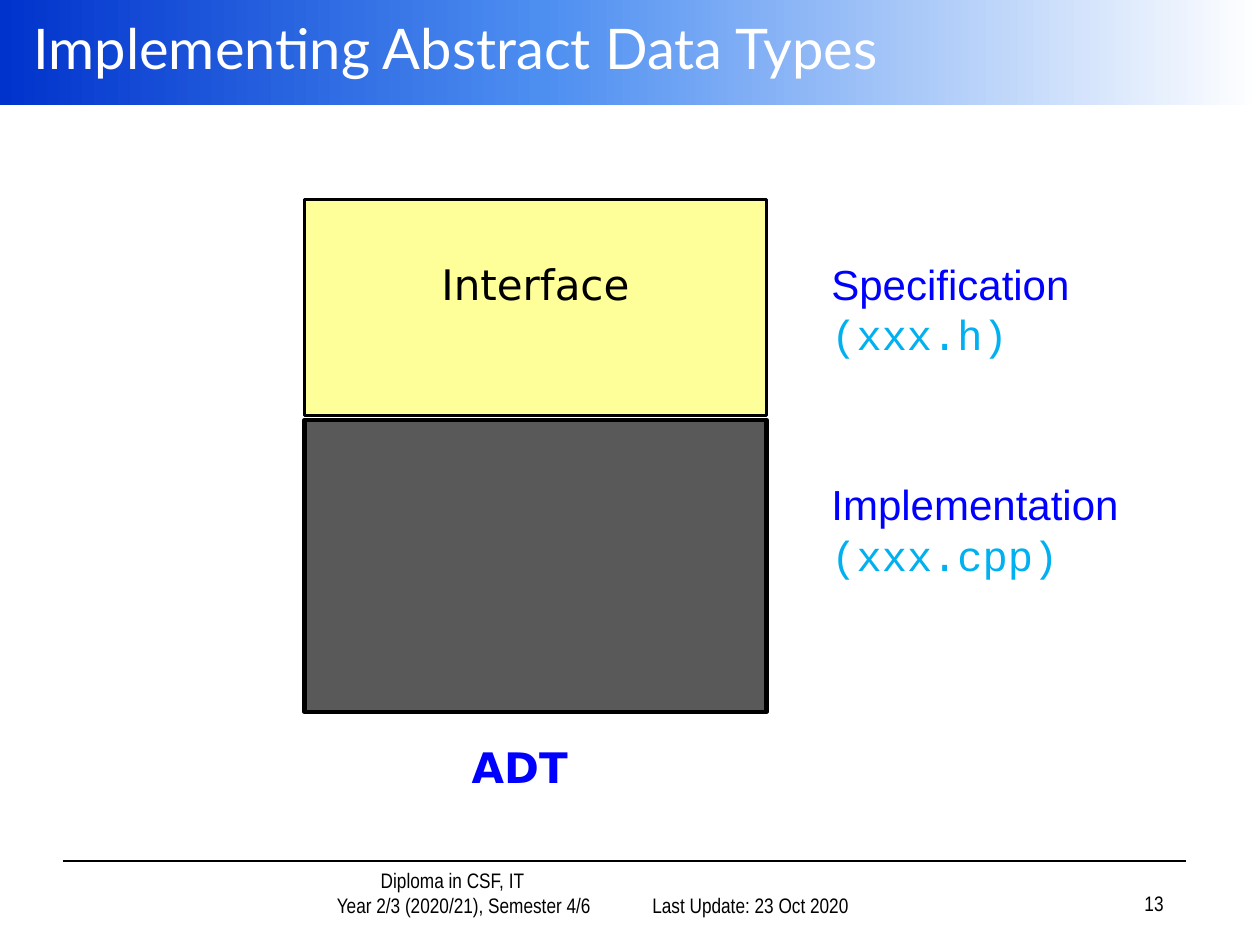
"""Build the slide on implementing abstract data types, on a grid of twelfths of an inch."""
from copy import deepcopy

from lxml import etree
from pptx import Presentation, util as u
from pptx.dml.color import RGBColor
from pptx.enum import shapes, text
from pptx.oxml.ns import qn

COLORS = {
    "black": "000000", "white": "FFFFFF", "blue": "0000FF", "sky": "00B0F0",
    "yellow": "FFFF99", "gray": "595959", "navy": "0033CC", "azure": "4D8EF1",
}
LEFT, CENTER, RIGHT = text.PP_ALIGN.LEFT, text.PP_ALIGN.CENTER, text.PP_ALIGN.RIGHT
TOP, MIDDLE, BOTTOM = text.MSO_ANCHOR.TOP, text.MSO_ANCHOR.MIDDLE, text.MSO_ANCHOR.BOTTOM

deck = Presentation()
deck.slide_width, deck.slide_height = u.Inches(10), u.Inches(7.5)
page = deck.slides.add_slide(deck.slide_layouts[6])
cell = deck.slide_width / 120


def place(*grid):
    return [round(cell * value) for value in grid]


def write(box, lines, font, size, align=LEFT, anchor=TOP):
    frame = box.text_frame
    frame.word_wrap = True
    frame.vertical_anchor = anchor
    for index, (words, color, *own_font) in enumerate(lines):
        para = frame.add_paragraph() if index else frame.paragraphs[0]
        para.alignment = align
        span = para.add_run()
        span.text = words
        span.font.name = own_font[0] if own_font else font
        span.font.size = u.Pt(size)
        span.font.color.rgb = RGBColor.from_string(COLORS[color])
    return frame


x1, y1, x2, y2 = place(6, 82, 113, 82)
rule = page.shapes.add_connector(shapes.MSO_CONNECTOR.STRAIGHT, x1, y1, x2, y2)
rule.line.color.rgb = RGBColor.from_string(COLORS["black"])
rule.line.width = u.Pt(1)
etree.SubElement(rule._element.spPr, qn("a:effectLst"))

banner = page.shapes.add_shape(shapes.MSO_SHAPE.RECTANGLE, *place(0, 0, 120, 10))
banner.shadow.inherit = False
banner.line.fill.background()
banner.fill.gradient()
banner.fill.gradient_angle = 0
first_stop = banner.fill._xPr.find(qn("a:gradFill")).find(qn("a:gsLst"))[0]
first_stop.addnext(deepcopy(first_stop))
stops = (("navy", 0), ("azure", 0.43), ("white", 1))
for stop, (color, position) in zip(banner.fill.gradient_stops, stops):
    stop.color.rgb = RGBColor.from_string(COLORS[color])
    stop.position = position

title = page.shapes.add_textbox(*place(2, 0, 118, 9))
write(title, [("Implementing Abstract Data Types", "white")], "Lato", 32, anchor=MIDDLE)

parts = {}
for name, row, rows, color, weight in (
    ("interface", 19, 20.6, "yellow", 1.5),
    ("implementation", 40, 27.8, "gray", 2.5),
):
    part = page.shapes.add_shape(shapes.MSO_SHAPE.RECTANGLE, *place(29, row, 44, rows))
    part.shadow.inherit = False
    part.fill.solid()
    part.fill.fore_color.rgb = RGBColor.from_string(COLORS[color])
    part.line.color.rgb = RGBColor.from_string(COLORS["black"])
    part.line.width = u.Pt(weight)
    parts[name] = part
label = write(parts["interface"], [("Interface", "black")], "DejaVu Sans", 24, CENTER)
label.margin_top = u.Inches(0.47)

for row, columns, heading, file_name in (
    (24, 29, "Specification", "(xxx.h)"),
    (45, 33, "Implementation", "(xxx.cpp)"),
):
    note = page.shapes.add_textbox(*place(78, row, columns, 13.3))
    write(note, [(heading, "blue"), (file_name, "sky", "Courier New")], "Arial", 24)

caption = page.shapes.add_textbox(*place(35, 70, 29, 6))
frame = write(caption, [("ADT", "blue")], "DejaVu Sans", 24, CENTER)
frame.paragraphs[0].runs[0].font.bold = True

course = page.shapes.add_textbox(*place(20.2, 83, 39.8, 5))
course_lines = [("Diploma in CSF, IT", "black"), ("Year 2/3 (2020/21), Semester 4/6", "black")]
frame = write(course, course_lines, "Arial Narrow", 12, CENTER, BOTTOM)
for para, indent in zip(frame.paragraphs, (0.5, 0.68)):
    para._p.get_or_add_pPr().set("marL", str(u.Inches(indent)))

for column, row, words in ((57, 83, "Last Update: 23 Oct 2020"), (87, 82.8, "13")):
    footer = page.shapes.add_textbox(*place(column, row, 25, 5))
    write(footer, [(words, "black")], "Arial Narrow", 12, RIGHT, BOTTOM)

deck.save("out.pptx")
